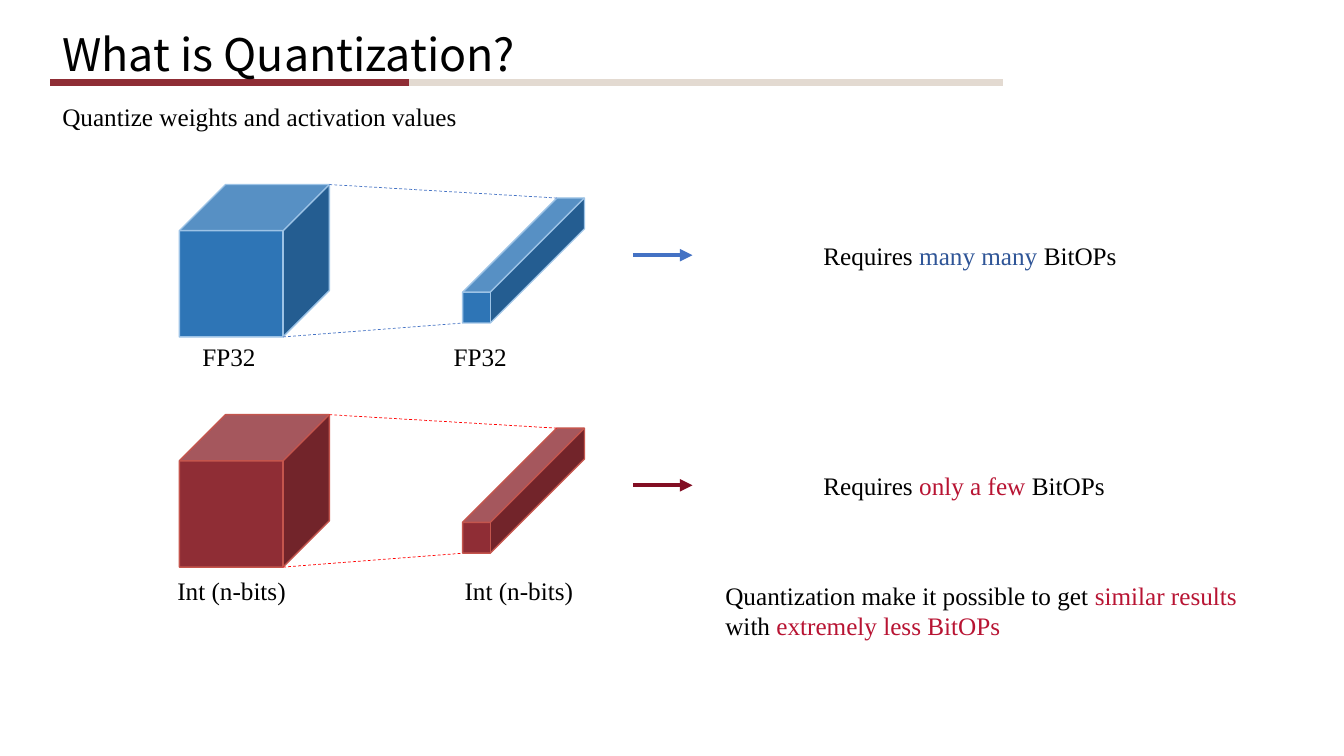
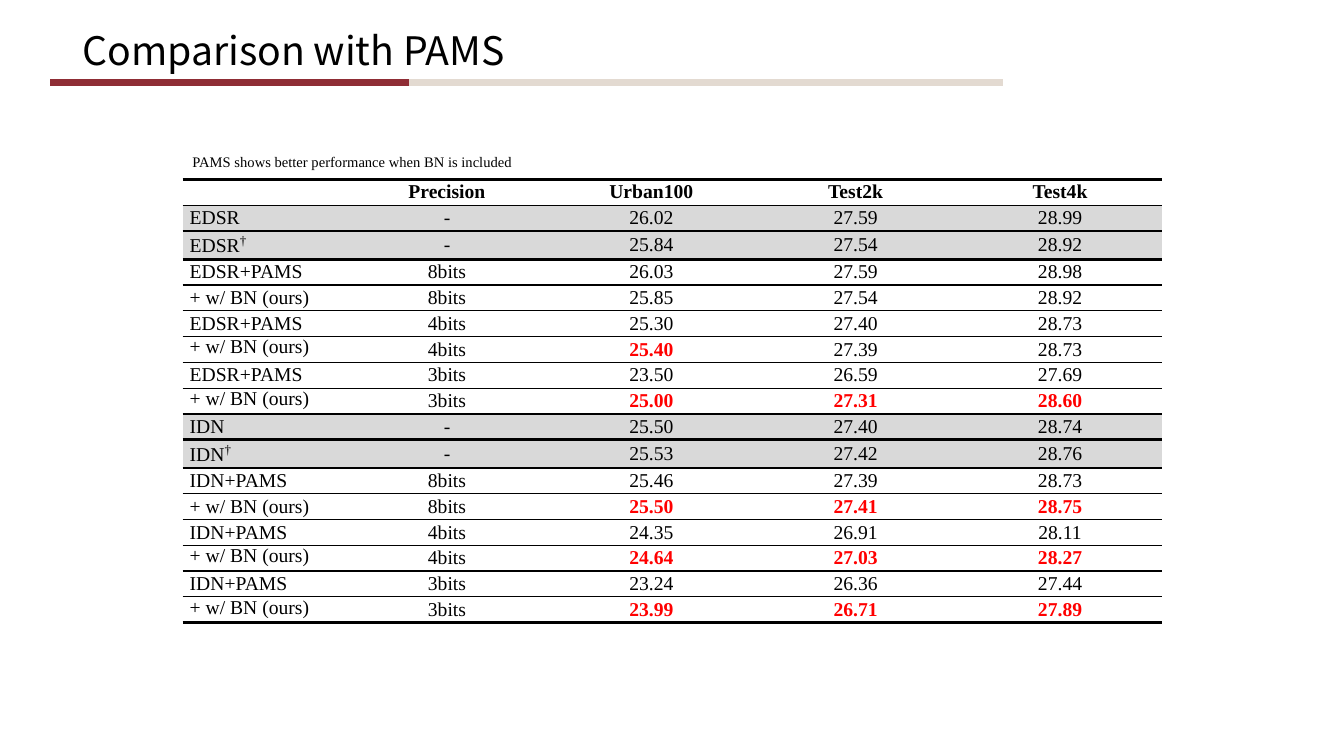
"""Build two slides on quantization: the idea, and a comparison table."""
from lxml import etree
from pptx import Presentation
from pptx import util as u
from pptx.dml.color import RGBColor
from pptx.enum import dml, shapes, text
from pptx.oxml.ns import qn

COLORS = {
    "ink": "000000", "maroon": "8F2D35", "sand": "E3DAD1",
    "blue": "2E75B6", "blue_edge": "9DC3E6", "blue_line": "4472C4", "blue_text": "2F5597",
    "maroon_edge": "C4554D", "maroon_arrow": "820E23", "crimson": "B81433",
    "red": "FF0000", "grey": "D9D9D9",
}
TITLE_FONT = "Noto Sans CJK KR"
BODY_FONT = "Times New Roman"
CUBE_DEPTH, SLAB_DEPTH = 0.308, 0.773

HEADER = ["", "Precision", "Urban100", "Test2k", "Test4k"]
OURS = "+ w/ BN (ours)"
RESULTS = [
    ["EDSR", "-", "26.02", "27.59", "28.99"],
    ["EDSR†", "-", "25.84", "27.54", "28.92"],
    ["EDSR+PAMS", "8bits", "26.03", "27.59", "28.98"],
    [OURS, "8bits", "25.85", "27.54", "28.92"],
    ["EDSR+PAMS", "4bits", "25.30", "27.40", "28.73"],
    [OURS, "4bits", "25.40", "27.39", "28.73"],
    ["EDSR+PAMS", "3bits", "23.50", "26.59", "27.69"],
    [OURS, "3bits", "25.00", "27.31", "28.60"],
    ["IDN", "-", "25.50", "27.40", "28.74"],
    ["IDN†", "-", "25.53", "27.42", "28.76"],
    ["IDN+PAMS", "8bits", "25.46", "27.39", "28.73"],
    [OURS, "8bits", "25.50", "27.41", "28.75"],
    ["IDN+PAMS", "4bits", "24.35", "26.91", "28.11"],
    [OURS, "4bits", "24.64", "27.03", "28.27"],
    ["IDN+PAMS", "3bits", "23.24", "26.36", "27.44"],
    [OURS, "3bits", "23.99", "26.71", "27.89"],
]
THICK_RULES = {0, 3, 4, 9, 10, 11, 17}
TOP_ALIGNED_LABELS = {6, 8, 14, 16}


def rgb(color):
    return RGBColor.from_string(COLORS[color])


def set_font(font, size, color="ink", name=BODY_FONT, bold=False):
    font.size, font.name, font.bold = u.Pt(size), name, bold
    font.color.rgb = rgb(color)


def superscript(run):
    run._r.get_or_add_rPr().set("baseline", "30000")


def add_text(slide, left, top, width, height, lines, size=18, name=BODY_FONT, wrap=False):
    """Add a text box; each line is a list of (text, color) pairs."""
    frame = slide.shapes.add_textbox(u.Cm(left), u.Cm(top), u.Cm(width), u.Cm(height)).text_frame
    frame.word_wrap = wrap
    for index, line in enumerate(lines):
        paragraph = frame.add_paragraph() if index else frame.paragraphs[0]
        set_font(paragraph.font, size, name=name)
        for words, color in line:
            run = paragraph.add_run()
            run.text = words
            if color != "ink":
                run.font.color.rgb = rgb(color)
    return frame


def add_line(slide, start, end, color, weight, dashed=False, arrow=False):
    points = [u.Cm(value) for value in (*start, *end)]
    connector = slide.shapes.add_connector(shapes.MSO_CONNECTOR.STRAIGHT, *points)
    connector.line.color.rgb = rgb(color)
    connector.line.width = u.Pt(weight)
    if dashed:
        connector.line.dash_style = dml.MSO_LINE.DASH
    properties = connector._element.spPr
    if arrow:
        etree.SubElement(properties.find(qn("a:ln")), qn("a:tailEnd"), type="triangle")
    etree.SubElement(properties, qn("a:effectLst"))


def add_cube(slide, left, top, width, height, depth, fill, edge):
    cube = slide.shapes.add_shape(
        shapes.MSO_SHAPE.CUBE, u.Cm(left), u.Cm(top), u.Cm(width), u.Cm(height))
    cube.adjustments[0] = depth
    cube.shadow.inherit = False
    cube.fill.solid()
    cube.fill.fore_color.rgb = rgb(fill)
    cube.line.color.rgb = rgb(edge)
    cube.line.width = u.Pt(1)


def add_titled_slide(deck, title, left, top, width, size):
    slide = deck.slides.add_slide(deck.slide_layouts[6])
    add_line(slide, (1.27, 2.08), (25.27, 2.08), "sand", 4.5)
    add_line(slide, (1.27, 2.08), (10.31, 2.08), "maroon", 4.5)
    frame = add_text(slide, left, top, width, 1.24, [[(title, "ink")]], size, TITLE_FONT, True)
    frame.vertical_anchor = text.MSO_ANCHOR.MIDDLE
    frame.paragraphs[0].line_spacing = 0.9
    return slide


def add_cost_row(slide, top, fill, edge, guide, arrow):
    """Draw a cube projected onto a slab, with an arrow to its cost."""
    cube_left, cube_width, cube_height = 4.52, 3.78, 3.84
    slab_left, slab_top, slab_width, slab_height = 11.66, top + 0.34, 3.07, 3.15
    add_cube(slide, cube_left, top, cube_width, cube_height, CUBE_DEPTH, fill, edge)
    add_cube(slide, slab_left, slab_top, slab_width, slab_height, SLAB_DEPTH, fill, edge)
    cube_right = cube_left + cube_width
    add_line(slide, (cube_right, top),
             (slab_left + SLAB_DEPTH * slab_width, slab_top), guide, 0.5, dashed=True)
    add_line(slide, (cube_right - CUBE_DEPTH * cube_width, top + cube_height),
             (slab_left, slab_top + slab_height), guide, 0.5, dashed=True)
    add_line(slide, (15.95, top + 1.78), (17.45, top + 1.78), arrow, 3, arrow=True)


def add_cost_text(slide, top, label, label_top, label_lefts, label_width, amount, color, width):
    for left in label_lefts:
        add_text(slide, left, label_top, label_width, 1.02, [[(label, "ink")]])
    claim = [("Requires ", "ink"), (amount, color), ("BitOPs", "ink")]
    add_text(slide, 20.5, top + 1.27, width, 1.02, [claim])


def set_borders(cell, row):
    properties = cell._tc.get_or_add_tcPr()
    weights = [None, None] + [2.25 if rule in THICK_RULES else 1 for rule in (row, row + 1)]
    for position, (side, weight) in enumerate(zip("LRTB", weights)):
        border = etree.Element(qn(f"a:ln{side}"))
        if weight is None:
            etree.SubElement(border, qn("a:noFill"))
        else:
            border.set("w", str(u.Pt(weight)))
            fill = etree.SubElement(border, qn("a:solidFill"))
            etree.SubElement(fill, qn("a:srgbClr"), val=COLORS["ink"])
        properties.insert(position, border)


def fill_cell(cell, words, row, column, shaded, better):
    cell.margin_left = cell.margin_right = u.Cm(0.18)
    cell.margin_top = cell.margin_bottom = 0
    top_aligned = column == 0 and row in TOP_ALIGNED_LABELS
    cell.vertical_anchor = text.MSO_ANCHOR.TOP if top_aligned else text.MSO_ANCHOR.MIDDLE
    if shaded:
        cell.fill.solid()
        cell.fill.fore_color.rgb = rgb("grey")
    else:
        cell.fill.background()
    paragraph = cell.text_frame.paragraphs[0]
    paragraph.alignment = text.PP_ALIGN.CENTER if column else text.PP_ALIGN.JUSTIFY
    set_font(paragraph.font, 14, "red" if better else "ink", bold=better or row == 0)
    name, dagger, _ = words.partition("†")
    if name:
        paragraph.add_run().text = name
    if dagger:
        mark = paragraph.add_run()
        mark.text = dagger
        mark.font.size = u.Pt(16)
        superscript(mark)
    set_borders(cell, row)


def add_results(slide, left, top):
    """Add the results, marking each of our scores that beats the row above."""
    rows = [HEADER] + RESULTS
    widths = [4.09] + [5.15] * 4
    heights = [0.71 if row[0].endswith("†") else 0.65 for row in rows]
    table = slide.shapes.add_table(len(rows), len(widths), u.Cm(left), u.Cm(top),
                                   u.Cm(sum(widths)), u.Cm(sum(heights))).table
    table.first_row = table.horz_banding = False
    for column, width in zip(table.columns, widths):
        column.width = u.Cm(width)
    for r, values in enumerate(rows):
        table.rows[r].height = u.Cm(heights[r])
        for c, words in enumerate(values):
            better = values[0] == OURS and c > 1 and float(words) > float(rows[r - 1][c])
            fill_cell(table.cell(r, c), words, r, c, values[1] == "-", better)


def build_quantization(deck):
    slide = add_titled_slide(deck, "What is Quantization?", 1.32, 0.81, 19.18, 32)
    add_text(slide, 1.32, 2.44, 10.57, 1.02, [[("Quantize weights and activation values", "ink")]])
    float_top, int_top = 4.65, 10.45
    add_cost_row(slide, float_top, "blue", "blue_edge", "blue_line", "blue_line")
    add_cost_text(slide, float_top, "FP32", 8.48, (4.85, 11.18), 1.9,
                  "many many ", "blue_text", 7.98)
    add_cost_row(slide, int_top, "maroon", "maroon_edge", "red", "maroon_arrow")
    add_cost_text(slide, int_top, "Int (n-bits)", 14.38, (4.22, 11.46), 3.28,
                  "only a few ", "crimson", 7.67)
    add_text(slide, 18.03, 14.5, 13.54, 1.8, [
        [("Quantization make it possible to get ", "ink"), ("similar results", "crimson")],
        [("with ", "ink"), ("extremely less BitOPs", "crimson")]])


def build_comparison(deck):
    slide = add_titled_slide(deck, "Comparison with PAMS", 1.83, 0.71, 16.23, 28)
    add_results(slide, 4.6, 4.52)
    caption = add_text(slide, 4.6, 3.66, 16.94, 1.02,
                       [[("PAMS shows better performance when BN is included", "ink")]], wrap=True)
    superscript(caption.paragraphs[0].runs[0])


def main():
    deck = Presentation()
    deck.slide_width, deck.slide_height = u.Cm(33.87), u.Cm(19.05)
    build_quantization(deck)
    build_comparison(deck)
    deck.save("out.pptx")


if __name__ == "__main__":
    main()
